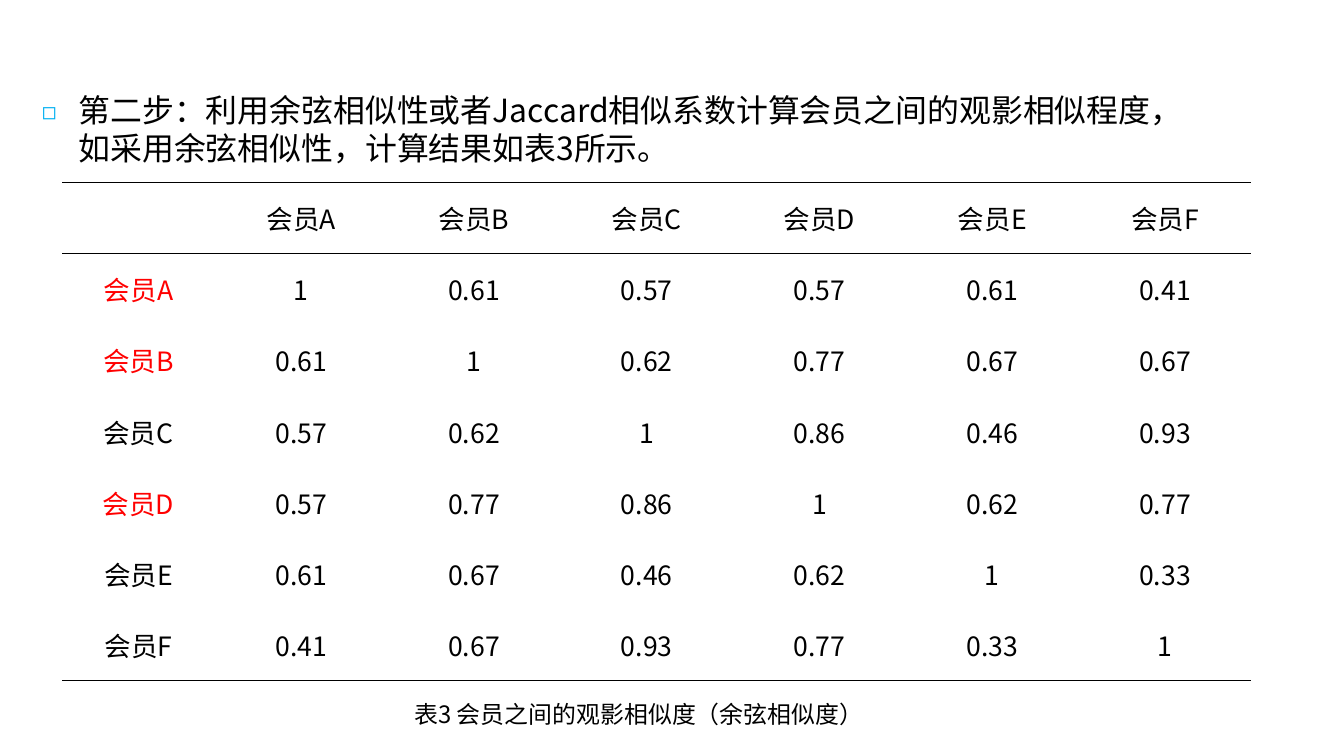
from lxml.etree import SubElement
from pptx import Presentation
from pptx.dml.color import RGBColor
from pptx.enum.text import MSO_ANCHOR, MSO_AUTO_SIZE, PP_ALIGN
from pptx.oxml.ns import qn
from pptx.util import Cm, Pt

COLORS = {"text": "000000", "mark": "FF0000", "bullet": "00B0F2"}
FONT = "Noto Sans CJK SC"
NAMES = [f"会员{letter}" for letter in "ABCDEF"]
MARKED = {"会员A", "会员B", "会员D"}
SCORES = [
    ["1", "0.61", "0.57", "0.57", "0.61", "0.41"],
    ["0.61", "1", "0.62", "0.77", "0.67", "0.67"],
    ["0.57", "0.62", "1", "0.86", "0.46", "0.93"],
    ["0.57", "0.77", "0.86", "1", "0.62", "0.77"],
    ["0.61", "0.67", "0.46", "0.62", "1", "0.33"],
    ["0.41", "0.67", "0.93", "0.77", "0.33", "1"],
]


class Page:
    def __init__(self, slide):
        self.slide = slide

    def style(self, para, size, color="text"):
        font = para.font
        font.size, font.name, font.bold = Pt(size), FONT, False
        font.color.rgb = RGBColor.from_string(COLORS[color])
        SubElement(para._p.pPr.find(qn("a:defRPr")), qn("a:ea"), typeface=FONT)

    def place(self, shape, left, top, width, height):
        shape.left, shape.top = Cm(left), Cm(top)
        shape.width, shape.height = Cm(width), Cm(height)

    def body(self, text, *box):
        shape = self.slide.placeholders[1]
        self.place(shape, *box)
        frame = shape.text_frame
        frame.text = text
        frame.auto_size = MSO_AUTO_SIZE.NONE
        frame.vertical_anchor = MSO_ANCHOR.TOP
        para = frame.paragraphs[0]
        para.space_before = Pt(0)
        para.line_spacing = Pt(28.6)
        props = para._p.get_or_add_pPr()
        props.set("marL", str(Cm(0.97)))
        props.set("indent", str(Cm(-0.97)))
        color = SubElement(props, qn("a:buClr"))
        SubElement(color, qn("a:srgbClr"), val=COLORS["bullet"])
        SubElement(props, qn("a:buSzPct"), val="75000")
        SubElement(props, qn("a:buFont"), typeface=FONT)
        SubElement(props, qn("a:buChar"), char="◻")
        self.style(para, 24)

    def caption(self, text, *box):
        frame = self.slide.shapes.add_textbox(*map(Cm, box)).text_frame
        frame.word_wrap = True
        frame.vertical_anchor = MSO_ANCHOR.MIDDLE
        para = frame.paragraphs[0]
        para.text = text
        para.alignment = PP_ALIGN.CENTER
        self.style(para, 18)

    def border(self, cell, sides):
        """Rule the given sides (T, B) and clear the others."""
        props = cell._tc.get_or_add_tcPr()
        for side in "LRTB":
            line = SubElement(props, qn(f"a:ln{side}"), w=str(Pt(1)))
            if side in sides:
                fill = SubElement(line, qn("a:solidFill"))
                SubElement(fill, qn("a:srgbClr"), val=COLORS["text"])
            else:
                SubElement(line, qn("a:noFill"))

    def cell(self, cell, text, sides):
        self.border(cell, sides)
        cell.fill.background()
        cell.vertical_anchor = MSO_ANCHOR.MIDDLE
        cell.margin_left = cell.margin_right = Cm(0.18)
        cell.margin_top = cell.margin_bottom = 0
        para = cell.text_frame.paragraphs[0]
        para.text = text
        para.alignment = PP_ALIGN.CENTER
        self.style(para, 20, "mark" if text in MARKED and "head" not in sides else "text")

    def table(self, rows, left, top, first, width, height):
        """Draw rows with a narrower first column and three horizontal rules."""
        count, last = len(rows[0]), len(rows) - 1
        total = first + width * (count - 1)
        table = self.slide.shapes.add_table(
            len(rows), count, Cm(left), Cm(top), Cm(total), Cm(height * len(rows))
        ).table
        table.first_row = table.horz_banding = False
        for c, column in enumerate(table.columns):
            column.width = Cm(width if c else first)
        rules = {0: ("T", "B", "head"), 1: ("T",), last: ("B",)}
        for r, row in enumerate(rows):
            table.rows[r].height = Cm(height)
            for c, text in enumerate(row):
                self.cell(table.cell(r, c), text, rules.get(r, ()))


def main():
    deck = Presentation()
    deck.slide_width, deck.slide_height = Cm(35.71), Cm(20.09)
    slide = deck.slides.add_slide(deck.slide_layouts[1])
    title = slide.shapes.title._element
    title.getparent().remove(title)
    page = Page(slide)
    page.body(
        "第二步：利用余弦相似性或者Jaccard相似系数计算会员之间的观影相似程度，"
        "如采用余弦相似性，计算结果如表3所示。",
        0.86, 2.3, 31.19, 2.39,
    )
    page.caption("表3 会员之间的观影相似度（余弦相似度）", 9.7, 18.44, 14.55, 1.07)
    rows = [["", *NAMES]] + [[name, *row] for name, row in zip(NAMES, SCORES)]
    page.table(rows, 1.65, 4.85, 4.06, 4.59, 1.89)
    deck.save("out.pptx")


if __name__ == "__main__":
    main()
